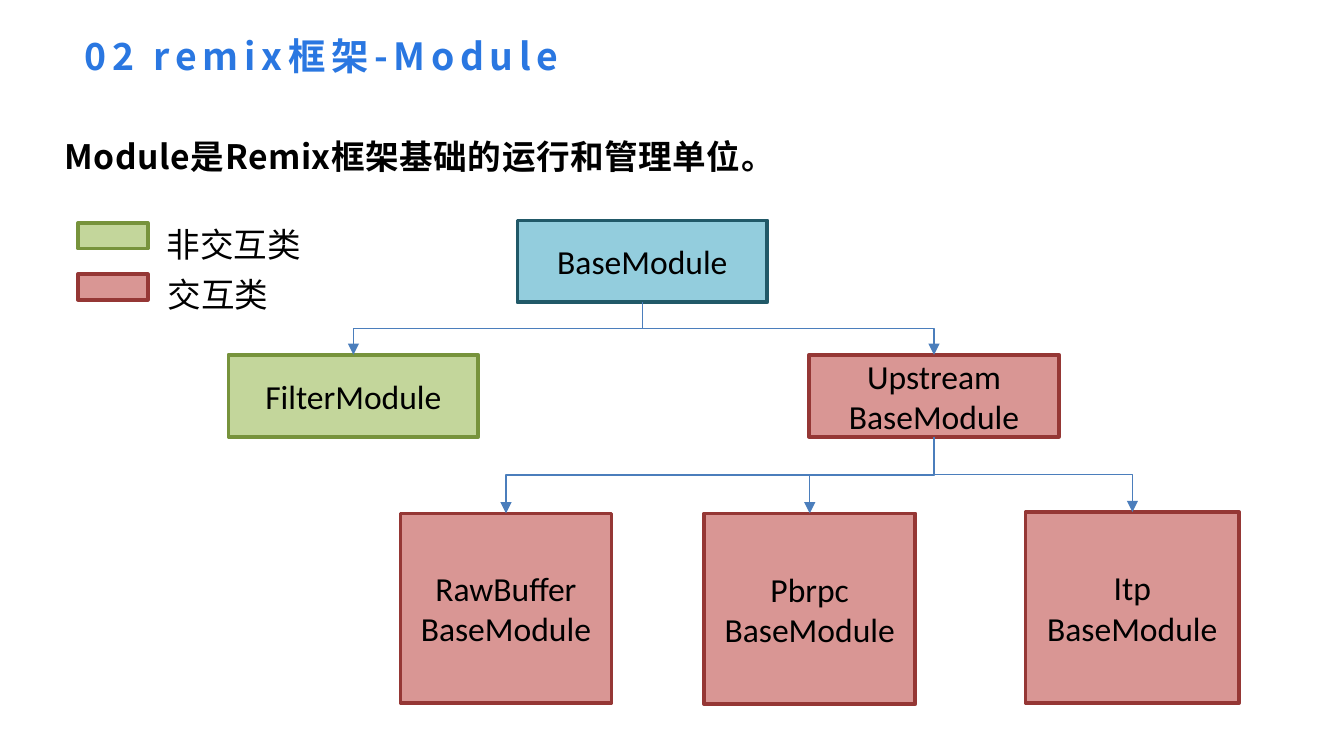
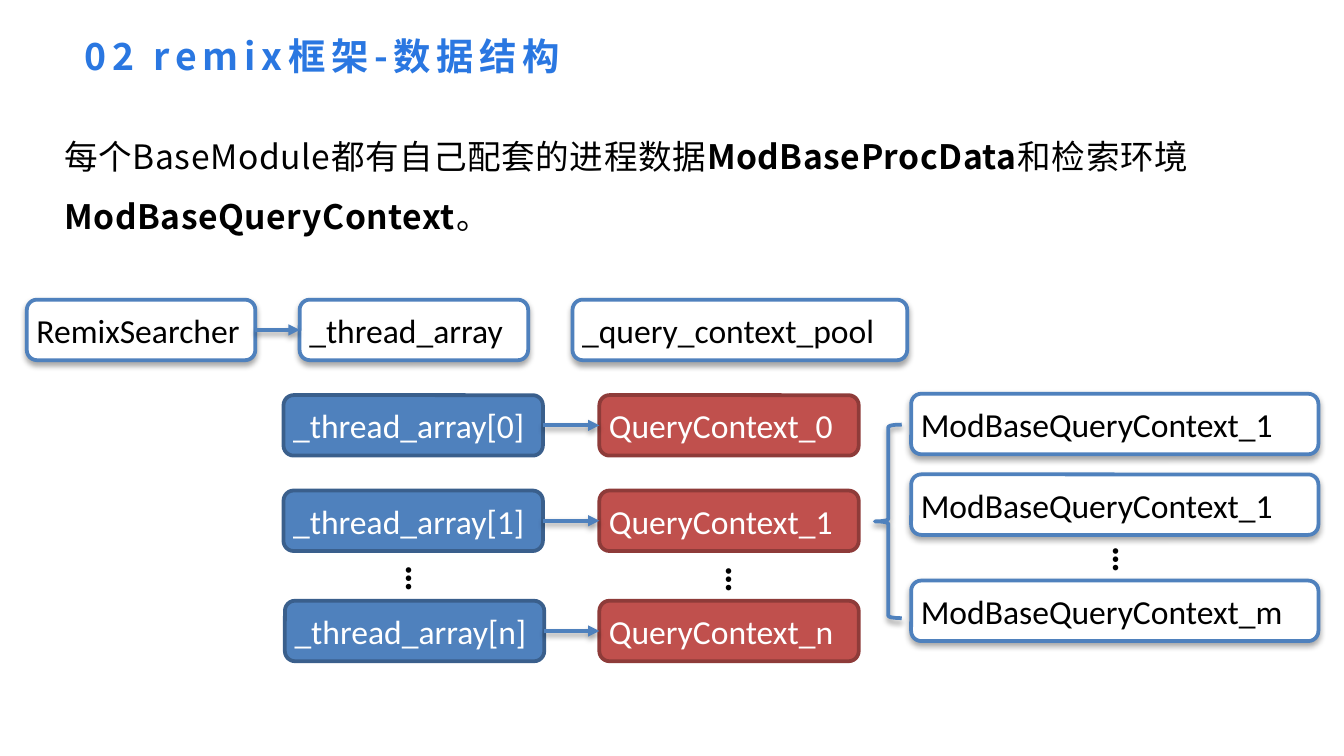
from lxml import etree
from pptx import Presentation
from pptx.dml.color import RGBColor
from pptx.enum.shapes import MSO_CONNECTOR, MSO_SHAPE
from pptx.enum.text import MSO_ANCHOR, MSO_AUTO_SIZE, PP_ALIGN
from pptx.oxml.ns import qn
from pptx.util import Inches, Pt

RECTANGLE = MSO_SHAPE.RECTANGLE
ROUNDED = MSO_SHAPE.ROUNDED_RECTANGLE
BRACE = MSO_SHAPE.LEFT_BRACE
STRAIGHT, ELBOW = MSO_CONNECTOR.STRAIGHT, MSO_CONNECTOR.ELBOW
LEFT, CENTER = PP_ALIGN.LEFT, PP_ALIGN.CENTER
TOP, MIDDLE = MSO_ANCHOR.TOP, MSO_ANCHOR.MIDDLE
NO_FIT, GROW = MSO_AUTO_SIZE.NONE, MSO_AUTO_SIZE.SHAPE_TO_FIT_TEXT
TITLE_AND_BODY = 1
RIGHT_SITE, LEFT_SITE = 3, 1

COLORS = {
    "title": "2A77E1", "black": "000000", "white": "FFFFFF",
    "blue": "4F81BD", "blue_edge": "3A5F8C",
    "red": "C0504D", "red_edge": "8E3B39",
    "sky": "93CDDD", "sky_edge": "215968",
    "green": "C3D69B", "green_edge": "77933C",
    "rose": "D99694", "rose_edge": "953735",
    "branch": "4B7EBC",
}
CJK, LATIN = "Noto Sans CJK SC", "Calibri"
TIGHT, WIDE = (0.05, 0.05), (0.1, 0.05)


def color(name):
    return RGBColor.from_string(COLORS[name])


class Slides:
    """Holds the deck, its style and the current page."""

    def __init__(self):
        self.deck = Presentation()
        self.deck.slide_width = Inches(10)
        self.deck.slide_height = Inches(10) * 9 // 16
        self.page = None

    def start(self, title, spans):
        """Add a page with its title and a statement of (text, bold) spans."""
        layout = self.deck.slide_layouts[TITLE_AND_BODY]
        self.page = self.deck.slides.add_slide(layout)
        heading = self.page.shapes.title
        self.place(heading, 0.58, 0.2, 5.75, 0.44)
        heading.text_frame.text = title
        self.style(heading, 20, CJK, "title", True, spacing=3)

        body = self.page.placeholders[1]
        self.place(body, 0.43, 0.81, 9.4, 0.96 if len(spans) > 1 else 0.5)
        para = body.text_frame.paragraphs[0]
        for text, _ in spans:
            para.add_run().text = text
        self.style(body, 18, CJK, "black", spacing=0.3)
        for span, (_, bold) in zip(para.runs, spans):
            span.font.bold = bold
        para.line_spacing = 1.5
        para.space_before = Pt(0)
        properties = para._p.get_or_add_pPr()
        properties.set("marL", "0")
        properties.set("indent", "0")
        etree.SubElement(properties, qn("a:buNone"))

    def place(self, box, left, top, width, height):
        box.left, box.top = Inches(left), Inches(top)
        box.width, box.height = Inches(width), Inches(height)

    def style(self, box, size, face, tint, bold=False, spacing=0, align=LEFT,
              anchor=TOP, insets=TIGHT, fit=NO_FIT):
        frame = box.text_frame
        frame.word_wrap = True
        frame.auto_size = fit
        frame.vertical_anchor = anchor
        frame.margin_left = frame.margin_right = Inches(insets[0])
        frame.margin_top = frame.margin_bottom = Inches(insets[1])
        for para in frame.paragraphs:
            para.alignment = align
            for span in para.runs:
                span.font.size = Pt(size)
                span.font.name = face
                span.font.bold = bold
                span.font.color.rgb = color(tint)
                properties = span._r.get_or_add_rPr()
                etree.SubElement(properties, qn("a:ea"), typeface=face)
                if spacing:
                    properties.set("spc", str(round(spacing * 100)))

    def effects(self, item, opacity=0):
        """Replace the theme shadow by a soft one, or by none."""
        properties = item._element.spPr
        for old in properties.findall(qn("a:effectLst")):
            properties.remove(old)
        effects = etree.SubElement(properties, qn("a:effectLst"))
        if opacity:
            shadow = etree.SubElement(
                effects, qn("a:outerShdw"), blurRad=str(Pt(3)),
                dist=str(Pt(1.8)), dir="5400000", rotWithShape="0")
            tint = etree.SubElement(shadow, qn("a:srgbClr"), val=COLORS["black"])
            etree.SubElement(tint, qn("a:alpha"), val=str(opacity * 1000))

    def shape(self, kind, left, top, width, height, fill, edge, opacity=0):
        box = self.page.shapes.add_shape(
            kind, Inches(left), Inches(top), Inches(width), Inches(height))
        if fill:
            box.fill.solid()
            box.fill.fore_color.rgb = color(fill)
        else:
            box.fill.background()
        box.line.color.rgb = color(edge)
        box.line.width = Pt(2)
        box.shadow.inherit = False
        self.effects(box, opacity)
        return box

    def module(self, text, left, top, width, height, fill):
        box = self.shape(RECTANGLE, left, top, width, height, fill, fill + "_edge")
        box.text_frame.text = text
        self.style(box, 18, LATIN, "black", align=CENTER, anchor=MIDDLE, insets=WIDE)
        return box

    def record(self, text, left, top, width, fill="white"):
        """Add a rounded box; white ones get a blue edge and a shadow."""
        plain = fill == "white"
        edge = "blue" if plain else fill + "_edge"
        box = self.shape(ROUNDED, left, top, width, 0.45, fill, edge, 35 if plain else 0)
        box.text_frame.text = text
        self.style(box, 18, LATIN, "black" if plain else "white", anchor=MIDDLE)
        return box

    def label(self, text, left, top, width):
        box = self.page.shapes.add_textbox(
            Inches(left), Inches(top), Inches(width), Inches(0.4))
        box.text_frame.text = text
        self.style(box, 18, LATIN, "black", insets=WIDE, fit=GROW)

    def ellipsis(self, left, top, height):
        box = self.page.shapes.add_textbox(
            Inches(left), Inches(top), Inches(0.44), Inches(height))
        box.text_frame.text = "…"
        self.style(box, 20, LATIN, "black", True, fit=GROW)
        box.text_frame._txBody.bodyPr.set("vert", "eaVert")

    def arrowhead(self, line, tint, width, opacity=0):
        line.line.color.rgb = color(tint)
        line.line.width = Pt(width)
        etree.SubElement(line.line._get_or_add_ln(), qn("a:tailEnd"), type="triangle")
        self.effects(line, opacity)

    def arrow(self, source, target):
        line = self.page.shapes.add_connector(STRAIGHT, 0, 0, 0, 0)
        line.begin_connect(source, RIGHT_SITE)
        line.end_connect(target, LEFT_SITE)
        self.arrowhead(line, "blue", 2, 38)

    def branch(self, parent, child):
        """Draw an elbow from the parent's bottom to the child's top."""
        start_x = parent.left + parent.width // 2
        start_y = parent.top + parent.height
        end_x = child.left + child.width // 2
        drop, reach = child.top - start_y, abs(end_x - start_x)
        left = (start_x + end_x - drop) // 2
        top = (start_y + child.top - reach) // 2
        # The elbow runs sideways first, so it is turned by a quarter.
        sides, turn = (left, left + drop), 90
        if end_x > start_x:
            sides, turn = sides[::-1], 270
        line = self.page.shapes.add_connector(
            ELBOW, sides[0], top, sides[1], top + reach)
        line._element.spPr.find(qn("a:xfrm")).set("rot", str(turn * 60000))
        self.arrowhead(line, "branch", 0.75)


def module_page(slides):
    slides.start("02 remix框架-Module",
                 [("Module是Remix框架基础的运行和管理单位。", True)])
    base = slides.module("BaseModule", 3.85, 1.64, 1.86, 0.61, "sky")
    filtering = slides.module("FilterModule", 1.7, 2.64, 1.86, 0.61, "green")
    upstream = slides.module("Upstream\nBaseModule", 6.02, 2.64, 1.86, 0.61, "rose")
    for child in (filtering, upstream):
        slides.branch(base, child)
    for name, left, top, width, height in (
            ("RawBuffer", 2.98, 3.82, 1.57, 1.41),
            ("Pbrpc", 5.24, 3.82, 1.57, 1.42),
            ("Itp", 7.63, 3.81, 1.59, 1.42)):
        child = slides.module(name + "\nBaseModule", left, top, width, height, "rose")
        slides.branch(upstream, child)
    for text, fill, top, left, label_top, width in (
            ("非交互类", "green", 1.66, 1.14, 1.62, 1.49),
            ("交互类", "rose", 2.04, 1.15, 1.99, 1.83)):
        slides.shape(RECTANGLE, 0.58, top, 0.52, 0.19, fill, fill + "_edge")
        slides.label(text, left, label_top, width)


def data_page(slides):
    slides.start("02 remix框架-数据结构", [
        ("每个BaseModule都有自己配套的进程数据", False), ("ModBaseProcData", True),
        ("和检索环境", False), ("ModBaseQueryContext", True), ("。", False)])
    searcher = slides.record("RemixSearcher", 0.2, 2.23, 1.7)
    threads = slides.record("_thread_array", 2.23, 2.23, 1.7)
    slides.record("_query_context_pool", 4.26, 2.23, 2.49)
    slides.arrow(searcher, threads)
    for index, left, top in (("0", 2.11, 2.94), ("1", 2.11, 3.65), ("n", 2.12, 4.47)):
        thread = slides.record(f"_thread_array[{index}]", left, top, 1.93, "blue")
        query = slides.record(f"QueryContext_{index}", 4.46, top, 1.93, "red")
        slides.arrow(thread, query)
    for index, top in (("1", 2.93), ("1", 3.53), ("m", 4.32)):
        slides.record(f"ModBaseQueryContext_{index}", 6.78, top, 3.03)
    for left, top, height in ((2.91, 4.11, 0.4), (5.29, 4.12, 0.42), (8.17, 3.97, 0.4)):
        slides.ellipsis(left, top, height)
    slides.shape(BRACE, 6.51, 3.16, 0.2, 1.44, None, "blue", 38)


def main():
    slides = Slides()
    module_page(slides)
    data_page(slides)
    slides.deck.save("out.pptx")


if __name__ == "__main__":
    main()
